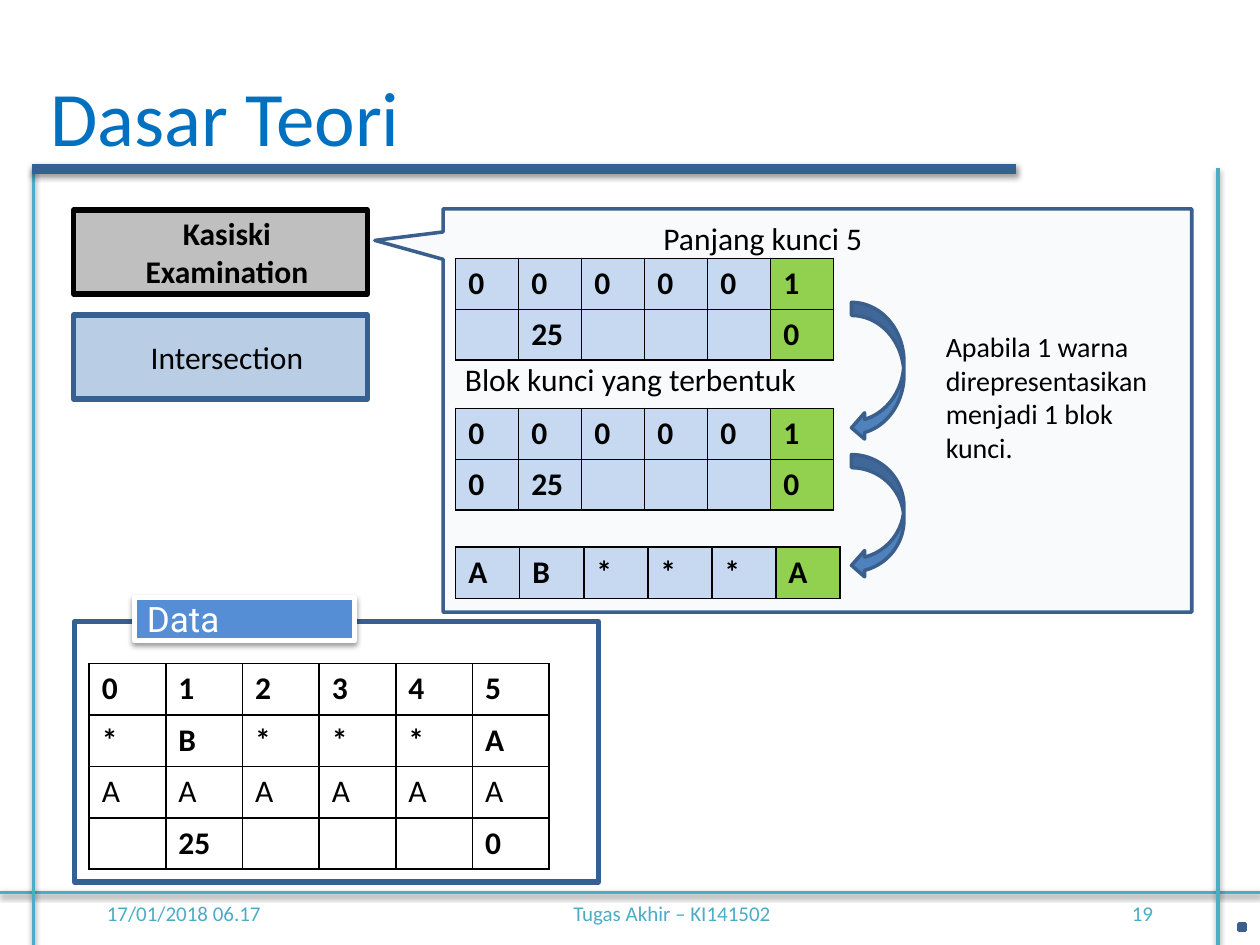
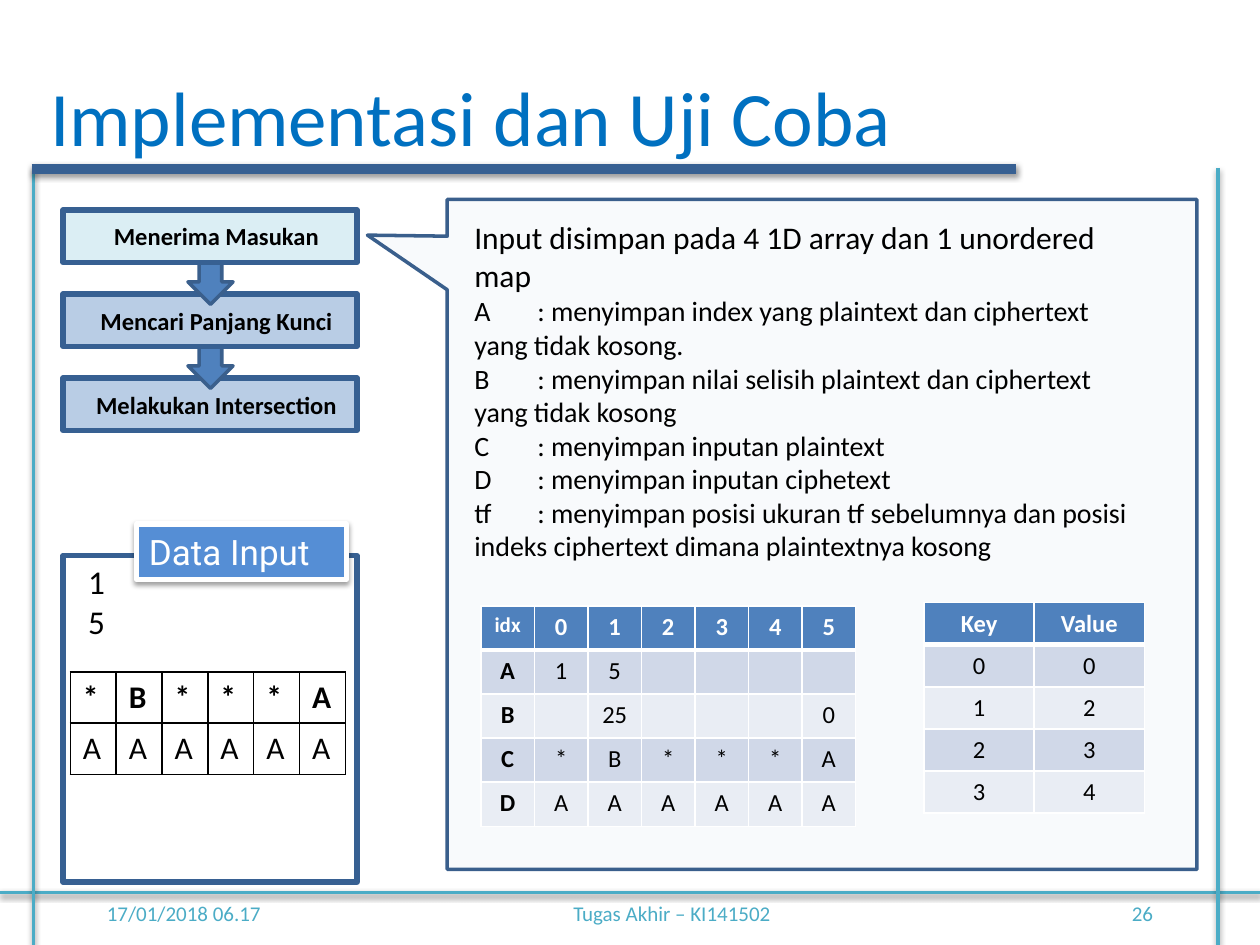
from lxml import etree
from pptx import Presentation, util as u
from pptx.dml.color import RGBColor
from pptx.enum import shapes, text
from pptx.oxml.ns import qn

# The grid has 120 columns and 90 rows of square cells on a 10 x 7.5 inch slide.
COLS, ROWS = 120, 90
THEME = dict(
    font="Calibri", label_font="Roboto",
    title="0070C0", accent="4BACC6", navy="376092", outline="3A5F8C",
    blue="4F81BD", label="558ED5", step="B9CDE5", step_on="DBEEF4",
    gray="BFBFBF", callout="DCE6F2", key="C6D9F1", hit="92D050",
    band1="D0D8E8", band2="E9EDF4", black="000000", white="FFFFFF",
    title_size=44, label_size=20, input_size=19, body=18, note=16, small=14, footer=12,
)
T = THEME
KIND, ALIGN, ANCHOR = shapes.MSO_SHAPE, text.PP_ALIGN, text.MSO_ANCHOR

prs = Presentation()
prs.slide_width, prs.slide_height = u.Inches(10), u.Inches(7.5)
CELL = prs.slide_width / COLS
shadowed = []


def box(s, kind, at, lines=(), fill=None, line=None, width=2, size=T["body"],
        color=T["black"], bold=False, font=T["font"], align=ALIGN.LEFT,
        anchor=ANCHOR.TOP, inset=1.2, wrap=True, after=0):
    """Add a preset shape, or a text box if kind is None, placed in grid cells."""
    place = [round(v * CELL) for v in at]
    if kind is None:
        sp = s.shapes.add_textbox(*place)
    else:
        sp = s.shapes.add_shape(kind, *place)
        sp.shadow.inherit = False
        if fill:
            sp.fill.solid()
            sp.fill.fore_color.rgb = RGBColor.from_string(fill)
        else:
            sp.fill.background()
        sp.line.color.rgb = RGBColor.from_string(line)
        sp.line.width = u.Pt(width)
    tf = sp.text_frame
    frame = dict(word_wrap=wrap, vertical_anchor=anchor, margin_left=round(inset * CELL))
    for name, value in frame.items():
        setattr(tf, name, value)
    for i, words in enumerate(lines):
        p = tf.add_paragraph() if i else tf.paragraphs[0]
        p.alignment, p.space_after = align, u.Pt(after)
        r = p.add_run()
        r.text = words
        for name, value in dict(name=font, size=u.Pt(size), bold=bold).items():
            setattr(r.font, name, value)
        r.font.color.rgb = RGBColor.from_string(color)
    return sp


def table(s, at, col, row, rows, style, border, align=ALIGN.LEFT):
    """Add a table of equal cells; style(i, j) gives fill, colour, size and bold."""
    n, m = len(rows), len(rows[0])
    place = [round(v * CELL) for v in (*at, col * m, row * n)]
    t = s.shapes.add_table(n, m, *place).table
    t.first_row = t.horz_banding = False
    for i, j in ((i, j) for i in range(n) for j in range(m)):
        t.rows[i].height, t.columns[j].width = round(row * CELL), round(col * CELL)
        cell, value = t.cell(i, j), rows[i][j]
        fill, color, size, bold = style(i, j)
        if fill:
            cell.fill.solid()
            cell.fill.fore_color.rgb = RGBColor.from_string(fill)
        else:
            cell.fill.background()
        if value:
            p = cell.text_frame.paragraphs[0]
            p.alignment = align
            r = p.add_run()
            r.text = value
            for name, v in dict(name=T["font"], size=u.Pt(size), bold=bold).items():
                setattr(r.font, name, v)
            r.font.color.rgb = RGBColor.from_string(color)
        else:
            cell.margin_top = cell.margin_bottom = 0
        tc_pr = cell._tc.get_or_add_tcPr()
        for k, side in enumerate(("lnL", "lnR", "lnT", "lnB")):
            header_rule = border == T["white"] and (i, side) in ((0, "lnB"), (1, "lnT"))
            ln = etree.Element(qn(f"a:{side}"), w=str(u.Pt(3 if header_rule else 1)))
            solid = etree.SubElement(ln, qn("a:solidFill"))
            etree.SubElement(solid, qn("a:srgbClr"), val=border)
            tc_pr.insert(k, ln)


# Title, rules, footer, data panel, label and callout on both slides
PAGES = [
    dict(title="Dasar Teori", number="19", title_width=36,
         panel=(7.1, 59.2, 49.9, 24.8), data=(), label="Data", label_at=(12.8, 56.9, 21, 4.1),
         callout=(42.2, 19.9, 113.5, 58.3), tip=(35.7, 22.9), base=(22.1, 24.7)),
    dict(title="Implementasi dan Uji Coba", number="26", title_width=83.4,
         panel=(6, 52.9, 28, 31.1), data=("1", "5"), label="Data Input",
         label_at=(13, 49.9, 20, 5.3),
         callout=(42.6, 19, 114, 82.8), tip=(35, 22.4), base=(22.5, 27.6)),
]
RULES = [
    (0, 85, COLS, 85, T["accent"], 2),
    (3.2, 16, 3.2, ROWS, T["accent"], 2),
    (116, 16, 116, ROWS, T["accent"], 2),
    (3, 16.1, 96.8, 16.1, T["navy"], 6),
]
slides = []
for page in PAGES:
    s = prs.slides.add_slide(prs.slide_layouts[6])
    slides.append(s)
    for left, width, words, align in (
            (9, 25, "17/01/2018 06.17", ALIGN.LEFT),
            (45, 38, "Tugas Akhir – KI141502", ALIGN.CENTER),
            (86, 25, page["number"], ALIGN.RIGHT)):
        box(s, None, (left, 84, width, 6), [words], size=T["footer"], color=T["accent"],
            align=align, anchor=ANCHOR.MIDDLE)
    for *ends, color, width in RULES:
        rule = s.shapes.add_connector(shapes.MSO_CONNECTOR.STRAIGHT,
                                      *(round(v * CELL) for v in ends))
        rule.line.color.rgb = RGBColor.from_string(color)
        rule.line.width = u.Pt(width)
        etree.SubElement(rule.element.spPr, qn("a:effectLst"))
        shadowed.append(rule)
    box(s, None, (3.6, 6, page["title_width"], 10.1), [page["title"]],
        size=T["title_size"], color=T["title"], wrap=False)
    box(s, KIND.RECTANGLE, page["panel"], page["data"], line=T["navy"], width=3,
        size=T["input_size"], inset=2.4)
    shadowed.append(box(
        s, KIND.RECTANGLE, page["label_at"], [page["label"]], fill=T["label"],
        line=T["white"], width=3, size=T["label_size"], color=T["white"],
        font=T["label_font"], anchor=ANCHOR.MIDDLE, after=3))

    left, top, right, bottom = page["callout"]
    upper, lower = page["base"]
    corners = [(left, top), (right, top), (right, bottom), (left, bottom),
               (left, lower), page["tip"], (left, upper)]
    points = [(round(x * CELL), round(y * CELL)) for x, y in corners]
    pen = s.shapes.build_freeform(*points[0])
    pen.add_line_segments(points[1:], close=True)
    sp = pen.convert_to_shape()
    sp.shadow.inherit = False
    sp.fill.solid()
    sp.fill.fore_color.rgb = RGBColor.from_string(T["callout"])
    clear = sp.element.spPr.find(qn("a:solidFill")).find(qn("a:srgbClr"))
    etree.SubElement(clear, qn("a:alpha"), val="20000")
    sp.line.color.rgb = RGBColor.from_string(T["outline"])
    sp.line.width = u.Pt(2)

for sp in shadowed:
    effects = sp.element.spPr.find(qn("a:effectLst"))
    shade = etree.SubElement(effects, qn("a:outerShdw"), blurRad="40000", dist="20000",
                             dir="5400000", rotWithShape="0")
    black = etree.SubElement(shade, qn("a:srgbClr"), val=T["black"])
    etree.SubElement(black, qn("a:alpha"), val="38000")

theory, trial = slides

# Theory: the two methods, the data and the key blocks
for top, words, fill, line, bold in (
        (30, "Intersection", T["step"], T["navy"], False),
        (20, "Kasiski Examination", T["gray"], T["black"], True)):
    box(theory, KIND.RECTANGLE, (7, top, 28, 8), [words], fill=fill, line=line, width=3,
        bold=bold, align=ALIGN.CENTER, anchor=ANCHOR.MIDDLE, inset=2.4)

ROW = 4.88
cipher = ["*B***A", "AAAAAA"]
differences = ["", "25", "", "", "", "0"]
for top, rows in ((68.1, cipher), (77.9, [differences]), (63.2, ["012345"])):
    table(theory, (8.5, top), 7.3, ROW, rows,
          lambda i, j: (None, T["black"], T["body"], i == 0), T["black"])

for at, words, size in (
        ((62, 20.3, 39, 4.8), "Panjang kunci 5", T["body"]),
        ((43.1, 33.7, 40.6, 4.8), "Blok kunci yang terbentuk", T["body"]),
        ((88.9, 30.8, 22.8, 14.2),
         "Apabila 1 warna direpresentasikan menjadi 1 blok kunci.", T["note"])):
    box(theory, None, at, [words], size=size)

for top, height in ((43.3, 11.8), (28.8, 13.2)):
    box(theory, KIND.CURVED_LEFT_ARROW, (81.1, top, 5, height),
        fill=T["blue"], line=T["outline"])

for top, col, values in (
        (29.4, 6, differences), (24.6, 6, "000001"),
        (43.7, 6, ["0"] + differences[1:]), (38.9, 6, "000001"),
        (52.1, 6.1, "AB***A")):
    table(theory, (43.4, top), col, ROW, [values],
          lambda i, j: (T["hit"] if j == 5 else T["key"], T["black"], T["body"], True),
          T["black"])
box(theory, KIND.ACTION_BUTTON_RETURN, (118, 88, 0.6, 0.6), fill=T["blue"], line=T["outline"])

# Trial: how the input is stored, and the three steps
sp = box(trial, None, (44, 20.2, 66, 34.3), [
    "Input disimpan pada 4 1D array dan 1 unordered map",
    "A\t: menyimpan index yang plaintext dan ciphertext yang tidak kosong.",
    "B\t: menyimpan nilai selisih plaintext dan ciphertext yang tidak kosong",
    "C\t: menyimpan inputan plaintext",
    "D\t: menyimpan inputan ciphetext",
    "tf\t: menyimpan posisi ukuran tf sebelumnya dan posisi indeks ciphertext "
    "dimana plaintextnya kosong"], size=T["note"])
sp.text_frame.paragraphs[0].runs[0].font.size = u.Pt(T["body"])

arrays = [["idx", *"012345"], ["A", "1", "5", "", "", "", ""], ["B", *differences],
          ["C", *cipher[0]], ["D", *cipher[1]]]
pairs = [["Key", "Value"], "00", "12", "23", "34"]
for at, col, row, rows in (((45.8, 57.7), 5.1, 4.2, arrays), ((88, 57.4), 10.5, 4, pairs)):
    table(trial, at, col, row, rows,
          lambda i, j: (T["blue"] if i == 0 else T["band1"] if i % 2 else T["band2"],
                        T["black"] if i else T["white"],
                        T["footer"] if rows[i][j] == "idx" else T["small"],
                        i == 0 or (j == 0 and rows is arrays)),
          T["white"], ALIGN.CENTER)

steps = ["Menerima Masukan", "Mencari Panjang Kunci", "Melakukan Intersection"]
for i in reversed(range(len(steps))):
    top = 20 + 8 * i
    if i < len(steps) - 1:
        box(trial, KIND.DOWN_ARROW, (17.9, top + 4, 4.3, 5), fill=T["blue"], line=T["outline"])
    box(trial, KIND.RECTANGLE, (6, top, 28, 5), [steps[i]],
        fill=T["step"] if i else T["step_on"], line=T["navy"], width=3, size=T["small"],
        bold=True, align=ALIGN.CENTER, anchor=ANCHOR.MIDDLE, inset=2.4)

table(trial, (6.7, 64), 4.37, ROW, cipher,
      lambda i, j: (None, T["black"], T["body"], i == 0), T["black"])

prs.save("out.pptx")
